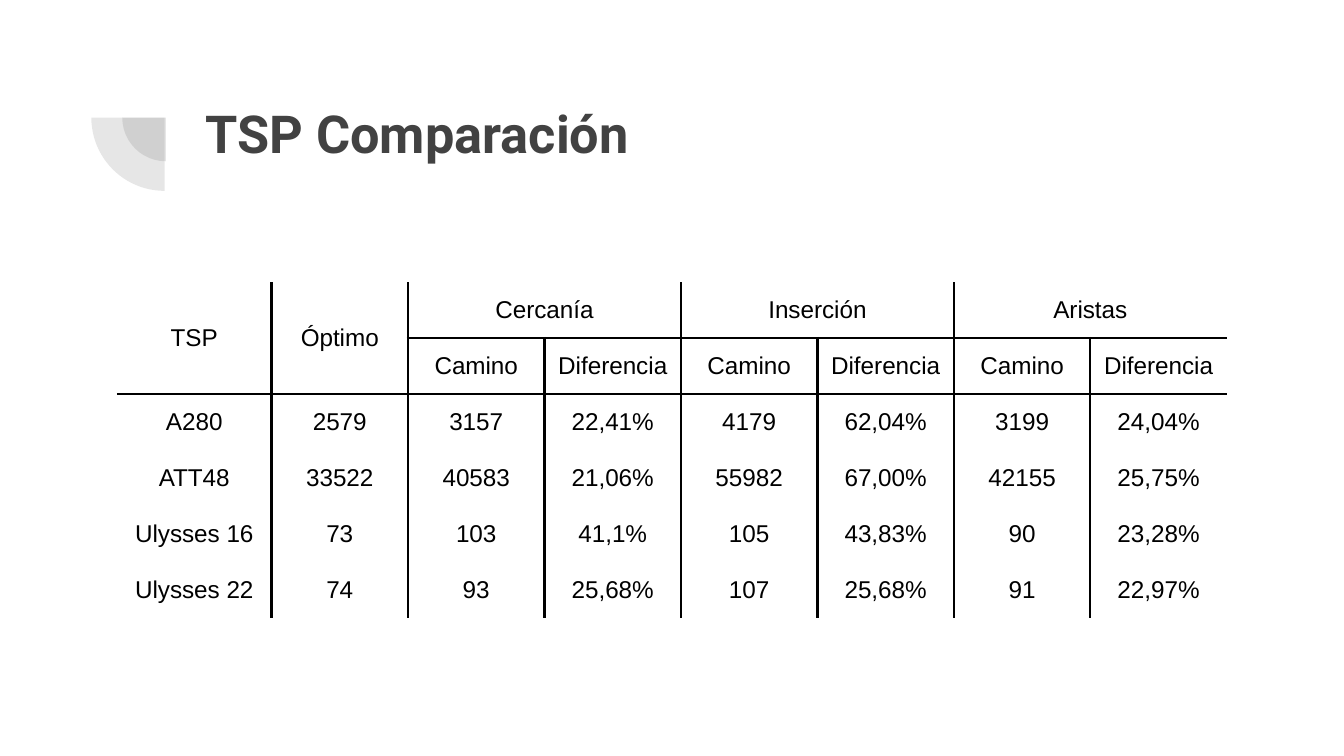
from dataclasses import dataclass

from lxml import etree
from pptx import Presentation
from pptx import util as u
from pptx.dml.color import RGBColor
from pptx.enum import shapes, text
from pptx.oxml import ns


@dataclass(frozen=True)
class Theme:
    """Colours, fonts and sizes of the slide."""
    accent: RGBColor = RGBColor.from_string("424242")
    ink: RGBColor = RGBColor.from_string("000000")
    title_font: str = "Roboto"
    table_font: str = "Arial"
    title_size: int = 28
    table_size: int = 13
    rule_width: float = 1.5
    accent_alpha: int = 13
    inset: float = 0.1


THEME = Theme()
NO_TABLE_STYLE = "{2D5ABB26-0587-4C30-8999-92F81FD0307C}"
METHODS = ["Cercanía", "Inserción", "Aristas"]
HEADER = ["TSP", "Óptimo"]
RESULTS = [
    ["A280", "2579", "3157", "22,41%", "4179", "62,04%", "3199", "24,04%"],
    ["ATT48", "33522", "40583", "21,06%", "55982", "67,00%", "42155", "25,75%"],
    ["Ulysses 16", "73", "103", "41,1%", "105", "43,83%", "90", "23,28%"],
    ["Ulysses 22", "74", "93", "25,68%", "107", "25,68%", "91", "22,97%"],
]


def style_run(run, font, size, color, bold=False):
    """Format one run of text."""
    run.font.name = font
    run.font.size = u.Pt(size)
    run.font.color.rgb = color
    run.font.bold = bold


def add_quarter(slide, left, top, diameter):
    """Add a translucent quarter disc that opens to the lower left."""
    quarter = slide.shapes.add_shape(
        shapes.MSO_SHAPE.PIE, u.Inches(left), u.Inches(top),
        u.Inches(diameter), u.Inches(diameter))
    quarter.adjustments[0] = 108
    quarter.adjustments[1] = 162
    quarter.rotation = 270
    quarter.shadow.inherit = False
    quarter.line.fill.background()
    quarter.fill.solid()
    quarter.fill.fore_color.rgb = THEME.accent
    color = quarter.element.spPr.find(".//" + ns.qn("a:srgbClr"))
    etree.SubElement(color, ns.qn("a:alpha"), val=str(THEME.accent_alpha * 1000))


def set_title(slide, wording):
    """Place the title in front of the ornament and format it."""
    title = slide.shapes.title
    slide.shapes.element.append(title.element)
    title.left, title.top = u.Inches(1.43), u.Inches(0.65)
    title.width, title.height = u.Inches(7.69), u.Inches(1.09)
    frame = title.text_frame
    frame.text = wording
    frame.word_wrap = True
    frame.auto_size = text.MSO_AUTO_SIZE.NONE
    frame.vertical_anchor = text.MSO_ANCHOR.TOP
    frame.margin_left = frame.margin_right = u.Inches(THEME.inset)
    frame.margin_top = frame.margin_bottom = u.Inches(THEME.inset)
    frame.paragraphs[0].alignment = text.PP_ALIGN.LEFT
    style_run(frame.paragraphs[0].runs[0], THEME.title_font,
              THEME.title_size, THEME.accent, bold=True)


def set_borders(cell, ruled_sides):
    """Rule the given sides of a cell and clear its other sides."""
    properties = cell._tc.get_or_add_tcPr()
    for side in "LRTB":
        rule = etree.SubElement(properties, ns.qn("a:ln" + side),
                                w=str(u.Pt(THEME.rule_width)))
        if side in ruled_sides:
            fill = etree.SubElement(rule, ns.qn("a:solidFill"))
            etree.SubElement(fill, ns.qn("a:srgbClr"), val=str(THEME.ink))
        else:
            etree.SubElement(rule, ns.qn("a:noFill"))


def style_cell(cell, wording):
    """Write a centred, unfilled table cell."""
    cell.text = wording
    cell.vertical_anchor = text.MSO_ANCHOR.MIDDLE
    cell.margin_left = cell.margin_right = u.Inches(THEME.inset)
    cell.margin_top = cell.margin_bottom = u.Inches(THEME.inset)
    cell.fill.background()
    paragraph = cell.text_frame.paragraphs[0]
    paragraph.alignment = text.PP_ALIGN.CENTER
    style_run(paragraph.runs[0], THEME.table_font, THEME.table_size, THEME.ink)


def add_comparison(slide):
    """Add the results table with its two-level header."""
    methods_row = HEADER + [label for name in METHODS for label in (name, "")]
    measures_row = ["", ""] + ["Camino", "Diferencia"] * len(METHODS)
    rows = [methods_row, measures_row] + RESULTS
    count = len(methods_row)
    first_width, other_width = 1.15, 7.11 / (count - 1)
    height = 2.5
    frame = slide.shapes.add_table(
        len(rows), count, u.Inches(0.87), u.Inches(2.1),
        u.Inches(first_width + other_width * (count - 1)), u.Inches(height))
    table = frame.table
    table.first_row = table.horz_banding = False
    table._tbl.tblPr.find(ns.qn("a:tableStyleId")).text = NO_TABLE_STYLE
    for index, column in enumerate(table.columns):
        column.width = u.Inches(other_width if index else first_width)
    for row in table.rows:
        row.height = u.Inches(height / len(rows))

    for column in range(len(HEADER)):
        table.cell(0, column).merge(table.cell(1, column))
    for column in range(len(HEADER), count, 2):
        table.cell(0, column).merge(table.cell(0, column + 1))

    for r, row in enumerate(rows):
        for c, wording in enumerate(row):
            cell = table.cell(r, c)
            if cell.is_spanned:
                continue
            next_column = c + (cell.span_width if cell.is_merge_origin else 1)
            sides = [("L", c > 0), ("R", next_column < count),
                     ("T", r in (1, 2)), ("B", r < 2)]
            set_borders(cell, [side for side, ruled in sides if ruled])
            style_cell(cell, wording)


def main():
    """Build the comparison slide and save it."""
    deck = Presentation()
    deck.slide_width = u.Inches(10)
    deck.slide_height = deck.slide_width * 9 // 16
    slide = deck.slides.add_slide(deck.slide_layouts.get_by_name("Title Only"))
    add_quarter(slide, 0.91, 0.55, 0.65)
    add_quarter(slide, 0.68, 0.33, 1.09)
    set_title(slide, "TSP Comparación")
    add_comparison(slide)
    deck.save("out.pptx")


if __name__ == "__main__":
    main()
